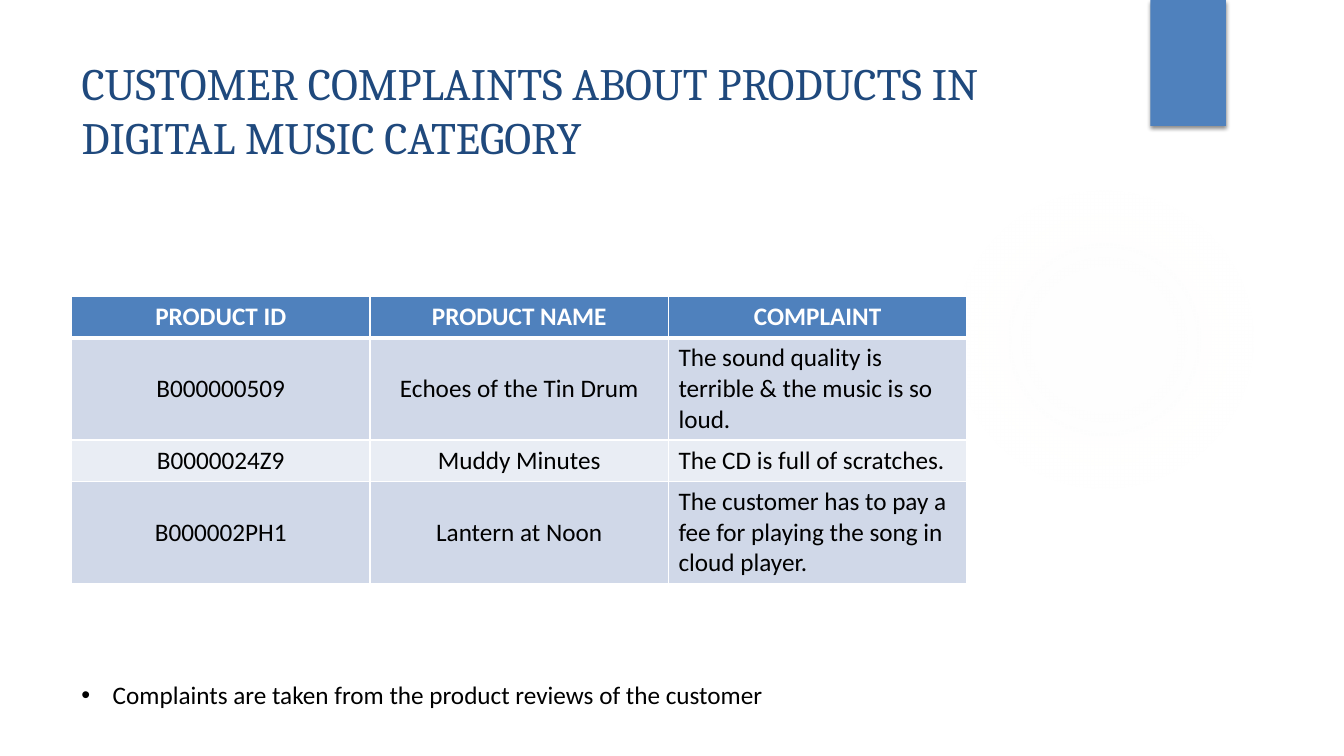
"""Build the slide of customer complaints about digital music products."""
from dataclasses import dataclass

from pptx import Presentation
from pptx import util as u
from pptx.dml.color import RGBColor
from pptx.enum import shapes, text
from pptx.oxml import parse_xml
from pptx.oxml.ns import nsdecls


@dataclass(frozen=True)
class Theme:
    accent: str = "4F81BD"
    title: str = "1F497D"
    ink: str = "000000"
    white: str = "FFFFFF"
    glow: str = "F5F4ED"
    bands: tuple = ("D0D8E8", "E9EDF4")
    title_font: str = "Cambria"
    body_font: str = "Calibri"
    title_size: int = 32
    body_size: int = 18


@dataclass(frozen=True)
class Box:
    left: float
    top: float
    width: float
    height: float

    def lengths(self) -> tuple:
        return tuple(u.Inches(v) for v in (self.left, self.top, self.width, self.height))


@dataclass(frozen=True)
class Complaint:
    product_id: str
    product_name: str
    complaint: str


THEME = Theme()
HEADINGS = ("PRODUCT ID", "PRODUCT NAME", "COMPLAINT")
COMPLAINTS = (
    Complaint("B000000509", "Echoes of the Tin Drum",
              "The sound quality is terrible & the music is so loud."),
    Complaint("B0000024Z9", "Muddy Minutes", "The CD is full of scratches."),
    Complaint("B000002PH1", "Lantern at Noon",
              "The customer has to pay a fee for playing the song in cloud player."),
)


def write(frame, words: str, *, size: int = THEME.body_size, font: str = THEME.body_font,
          color: str = THEME.ink, bold: bool = False, align=text.PP_ALIGN.LEFT,
          anchor=text.MSO_ANCHOR.TOP, bullet: bool = False) -> None:
    frame.word_wrap = True
    frame.vertical_anchor = anchor
    paragraph = frame.paragraphs[0]
    paragraph.alignment = align
    if bullet:
        properties = paragraph._p.get_or_add_pPr()
        properties.set("marL", str(u.Inches(0.31)))
        properties.set("indent", str(u.Inches(-0.31)))
        properties.append(parse_xml(f'<a:buFont {nsdecls("a")} typeface="Arial"/>'))
        properties.append(parse_xml(f'<a:buChar {nsdecls("a")} char="•"/>'))
    run = paragraph.add_run()
    run.text = words
    run.font.size = u.Pt(size)
    run.font.name = font
    run.font.bold = bold
    run.font.color.rgb = RGBColor.from_string(color)


def add_glow(slide, box: Box) -> None:
    glow = slide.shapes.add_shape(shapes.MSO_SHAPE.OVAL, *box.lengths())
    glow.shadow.inherit = False
    glow.line.fill.background()
    stops = "".join(
        f'<a:gs pos="{place * 1000}"><a:srgbClr val="{THEME.glow}">'
        f'<a:alpha val="{alpha * 1000}"/></a:srgbClr></a:gs>'
        for place, alpha in ((0, 7), (36, 6), (69, 0)))
    glow._element.spPr.find("{*}prstGeom").addnext(parse_xml(
        f'<a:gradFill {nsdecls("a")}><a:gsLst>{stops}</a:gsLst><a:path path="circle">'
        '<a:fillToRect l="50000" t="50000" r="50000" b="50000"/></a:path></a:gradFill>'))


def add_ribbon(slide, box: Box) -> None:
    ribbon = slide.shapes.add_shape(shapes.MSO_SHAPE.RECTANGLE, *box.lengths())
    ribbon.fill.solid()
    ribbon.fill.fore_color.rgb = RGBColor.from_string(THEME.accent)
    ribbon.line.fill.background()
    ribbon.shadow.inherit = False
    ribbon._element.spPr.find("{*}effectLst").append(parse_xml(
        f'<a:outerShdw {nsdecls("a")} blurRad="{u.Pt(3)}" dist="{u.Pt(2)}" dir="5400000" '
        f'rotWithShape="0"><a:srgbClr val="{THEME.ink}"><a:alpha val="45000"/>'
        '</a:srgbClr></a:outerShdw>'))


def style_cell(cell, fill: str, top: int = 1, bottom: int = 1) -> None:
    properties = cell._tc.get_or_add_tcPr()
    for side, points in (("L", 1), ("R", 1), ("T", top), ("B", bottom)):
        properties.append(parse_xml(
            f'<a:ln{side} {nsdecls("a")} w="{u.Pt(points)}"><a:solidFill>'
            f'<a:srgbClr val="{THEME.white}"/></a:solidFill></a:ln{side}>'))
    cell.fill.solid()
    cell.fill.fore_color.rgb = RGBColor.from_string(fill)


def add_complaint_table(slide, box: Box) -> None:
    table = slide.shapes.add_table(
        len(COMPLAINTS) + 1, len(HEADINGS), *box.lengths()).table
    for row in table.rows:
        row.height = u.Inches(0.41)
    for column, heading in enumerate(HEADINGS):
        cell = table.cell(0, column)
        style_cell(cell, THEME.accent, bottom=3)
        write(cell.text_frame, heading, color=THEME.white, bold=True,
              align=text.PP_ALIGN.CENTER)
    for number, item in enumerate(COMPLAINTS, 1):
        for column, words in enumerate((item.product_id, item.product_name, item.complaint)):
            cell = table.cell(number, column)
            style_cell(cell, THEME.bands[(number - 1) % 2], top=3 if number == 1 else 1)
            cell.vertical_anchor = text.MSO_ANCHOR.MIDDLE
            write(cell.text_frame, words,
                  align=text.PP_ALIGN.CENTER if column < 2 else text.PP_ALIGN.LEFT)


def add_source_note(slide, box: Box) -> None:
    note = slide.shapes.add_textbox(*box.lengths())
    write(note.text_frame, "Complaints are taken from the product reviews of the customer",
          bullet=True)
    note.text_frame.auto_size = text.MSO_AUTO_SIZE.SHAPE_TO_FIT_TEXT


def main() -> None:
    deck = Presentation()
    deck.slide_width, deck.slide_height = u.Inches(13.33), u.Inches(7.5)
    slide = deck.slides.add_slide(deck.slide_layouts[5])
    add_glow(slide, Box(9.41, 1.83, 3.08, 3.08))
    add_ribbon(slide, Box(11.41, 0, 0.75, 1.25))
    title = slide.shapes.title
    title.left, title.top, title.width, title.height = Box(0.71, 0.5, 10.29, 1.53).lengths()
    write(title.text_frame, "CUSTOMER COMPLAINTS ABOUT PRODUCTS IN DIGITAL MUSIC CATEGORY",
          size=THEME.title_size, font=THEME.title_font, color=THEME.title)
    title.text_frame.auto_size = text.MSO_AUTO_SIZE.NONE
    add_complaint_table(slide, Box(0.71, 2.94, 8.88, 1.64))
    add_source_note(slide, Box(0.71, 6.69, 8.45, 0.4))
    deck.save("out.pptx")


if __name__ == "__main__":
    main()
